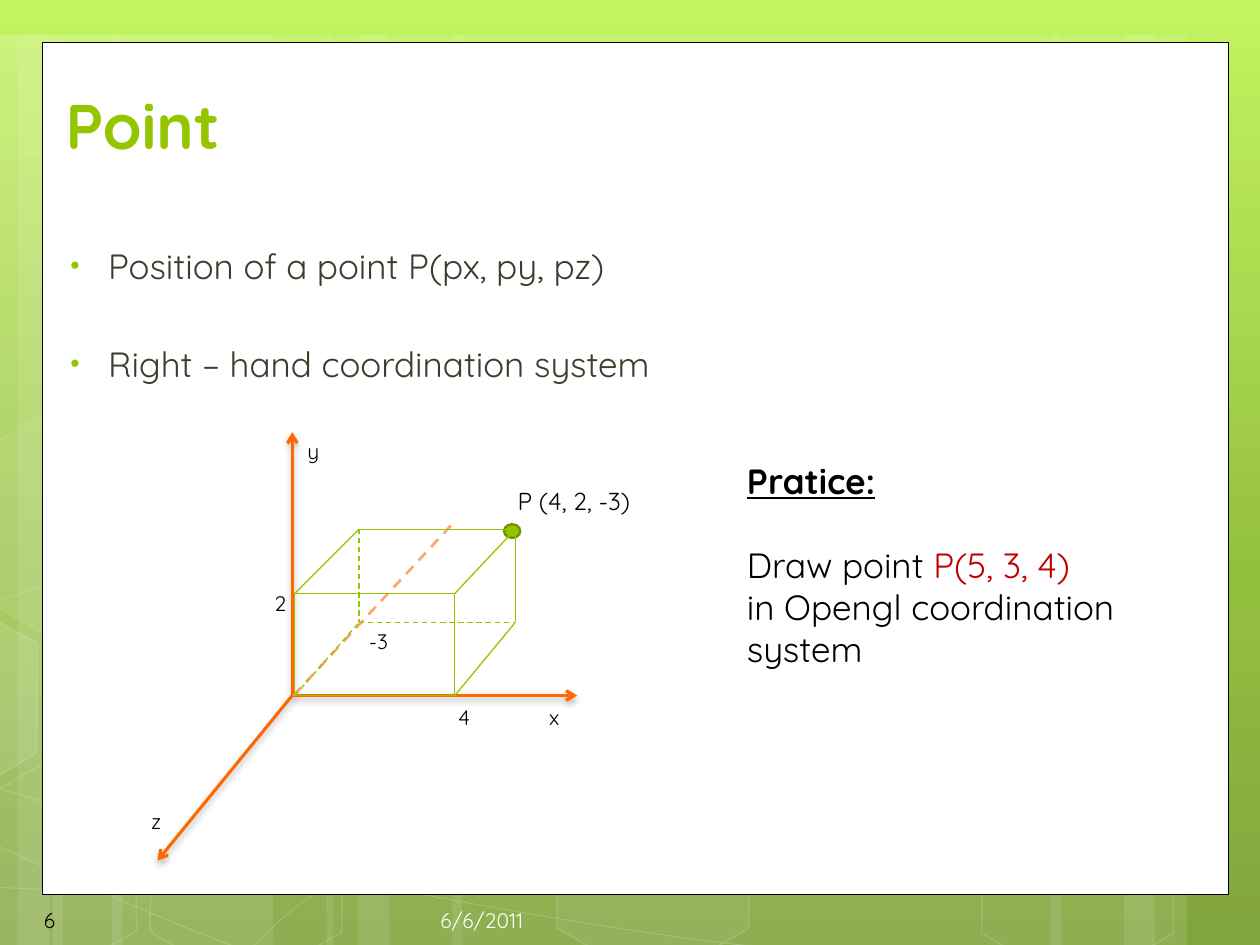
from lxml import etree
from pptx import Presentation
from pptx.dml.color import RGBColor
from pptx.enum.dml import MSO_LINE
from pptx.enum.shapes import MSO_CONNECTOR, MSO_SHAPE
from pptx.enum.text import MSO_ANCHOR, MSO_AUTO_SIZE, PP_ALIGN
from pptx.oxml.ns import qn
from pptx.util import Inches, Pt

RECTANGLE, HEXAGON, OVAL = MSO_SHAPE.RECTANGLE, MSO_SHAPE.HEXAGON, MSO_SHAPE.OVAL
STRAIGHT, DASH = MSO_CONNECTOR.STRAIGHT, MSO_LINE.DASH
LEFT, RIGHT = PP_ALIGN.LEFT, PP_ALIGN.RIGHT
TOP, MIDDLE, BOTTOM = MSO_ANCHOR.TOP, MSO_ANCHOR.MIDDLE, MSO_ANCHOR.BOTTOM
GROW = MSO_AUTO_SIZE.SHAPE_TO_FIT_TEXT

THEME = {
    "font": "Quicksand",
    "green": "94C600", "dark_green": "6D9200", "orange": "FF6700", "pale_orange": "FFA466",
    "text": "3E3D2D", "black": "000000", "white": "FFFFFF", "footer": "FEFEFE", "red": "C00000",
    "title": 36, "body": 20, "point": 14, "small": 12,
    "background": [(0, "C3F35F"), (62, "93BF3F"), (100, "81A53E")],
}

BARS = [(0.42, 1.75), (-0.33, 0.83), (0.89, 1.75), (-0.11, 0.5), (0.14, 0.83), (6.67, 1.75),
        (8.92, 0.5), (8.34, 0.83), (3.59, 3.08), (2.59, 0.5), (2.84, 0.83)]
WAVES = [
    [(-0.59, 7.01), (-0.05, 7.04), (0.49, 7.08), (1.24, 7.06), (1.99, 7.05), (2.92, 7.03),
     (3.92, 6.93), (4.92, 6.83), (6.34, 6.64), (7.26, 6.45), (8.17, 6.26), (9.11, 5.96), (9.41, 5.79)],
    [(-0.59, 5.05), (-0.3, 4.9), (-0.01, 4.74), (0.55, 4.6), (1.12, 4.45), (1.93, 4.23),
     (2.81, 4.15), (3.7, 4.08), (4.78, 4.08), (5.88, 4.15), (6.98, 4.23), (8.81, 4.54), (9.41, 4.62)],
    [(-0.6, 6.45), (0.61, 7), (1.81, 7.55), (2.68, 7.78)],
    [(-0.59, 6.06), (-0.28, 6.17), (0.04, 6.28), (0.62, 6.44), (1.2, 6.6), (2.07, 6.84),
     (2.9, 7.01), (3.74, 7.18), (4.79, 7.36), (5.62, 7.47), (6.45, 7.57), (7.34, 7.61),
     (7.87, 7.65), (8.39, 7.68), (8.53, 7.66), (8.79, 7.66), (9.05, 7.66), (9.23, 7.64), (9.41, 7.62)],
    [(1.76, 7.78), (1.94, 7.58), (2.12, 7.38), (2.36, 7.19), (2.6, 7.01), (2.94, 6.81),
     (3.22, 6.67), (3.5, 6.54), (3.67, 6.48), (4.03, 6.37), (4.4, 6.27), (5.07, 6.13),
     (5.42, 6.06), (5.78, 6), (5.83, 6), (6.14, 5.97), (6.45, 5.95), (6.94, 5.92),
     (7.28, 5.91), (7.63, 5.9), (8.2, 5.91), (8.2, 5.91), (8.42, 5.91), (8.65, 5.91),
     (8.87, 5.91), (9.05, 5.91), (9.22, 5.93), (9.31, 5.93), (9.4, 5.94), (9.37, 5.94), (9.4, 5.95)],
]
HEXAGONS = [(4.31, 6.17, 6, 12), (-0.55, 6.19, 0, 12), (-0.52, 3.4, 7, 8),
            (1.08, 6.2, 0, 12), (7.68, 6.21, 0, 12)]
EDGE_HEXAGON = [(0, 4.94), (0.3, 5.11), (0.29, 5.98), (0, 6.15)]

BULLETS = ["Position of a point P(px, py, pz)", "Right – hand coordination system"]
PRACTICE = [
    [("Pratice:", {"bold": True, "underline": True})],
    [("Draw point ", {}), ("P(5, 3, 4)", {"color": "red"})],
    [("in Opengl coordination system", {})],
]
FOOTERS = [("6", (0.25, 7.1, 1.46, 0.4), "black", LEFT),
           ("6/6/2011", (1.92, 7.1, 2.33, 0.4), "footer", RIGHT)]
AXIS_LABELS = [("x", 4.26, 5.54, 0.31), ("y", 2.34, 3.43, 0.31), ("z", 1.1, 6.37, 0.31),
               ("4", 3.54, 5.54, 0.31), ("-3", 2.83, 4.94, 0.42), ("2", 2.08, 4.64, 0.31)]
ORIGIN = (2.32, 5.52)
AXIS_ENDS = [(2.32, 3.43), (4.58, 5.52), (1.25, 6.83)]
FRONT = [(2.34, 5.52), (3.61, 5.52), (3.61, 4.71), (2.34, 4.71)]
BACK = [(2.85, 4.94), (4.09, 4.94), (4.09, 4.2), (2.85, 4.2)]


def color(name):
    return RGBColor.from_string(THEME[name])


def apply(target, values):
    for name, value in values.items():
        setattr(target, name, value)


def set_opacity(parent, percent):
    if percent < 100:
        node = parent.find(qn("a:solidFill")).find(qn("a:srgbClr"))
        etree.SubElement(node, qn("a:alpha"), val=str(percent * 1000))


def paint(shape, fill=None, fill_opacity=100, line=None, width=1, line_opacity=100):
    shape.shadow.inherit = False
    properties = shape.element.spPr
    if fill and fill_opacity:
        shape.fill.solid()
        shape.fill.fore_color.rgb = color(fill)
        set_opacity(properties, fill_opacity)
    else:
        shape.fill.background()
    if line:
        shape.line.color.rgb = color(line)
        shape.line.width = Pt(width)
        set_opacity(properties.find(qn("a:ln")), line_opacity)
    else:
        shape.line.fill.background()


def add_shape(slide, kind, box, **format_values):
    shape = slide.shapes.add_shape(kind, *map(Inches, box))
    paint(shape, **format_values)
    return shape


def add_outline(slide, points, **format_values):
    points = [(Inches(x), Inches(y)) for x, y in points]
    builder = slide.shapes.build_freeform(*points[0])
    builder.add_line_segments(points[1:], close=False)
    shape = builder.convert_to_shape()
    paint(shape, **format_values)
    return shape


def bend(shape):
    outline = next(shape.element.iter(qn("a:path")))
    segments = outline.findall(qn("a:lnTo"))
    for start in range(0, len(segments), 3):
        curve = etree.SubElement(outline, qn("a:cubicBezTo"))
        for segment in segments[start:start + 3]:
            curve.append(segment[0])
            outline.remove(segment)


def add_line(slide, start, end, name, width, dashed=False, axis=False):
    line = slide.shapes.add_connector(STRAIGHT, *map(Inches, start + end))
    line.line.color.rgb = color(name)
    line.line.width = Pt(width)
    if dashed:
        line.line.dash_style = DASH
    properties = line._element.spPr
    effects = etree.SubElement(properties, qn("a:effectLst"))
    if axis:
        etree.SubElement(properties.find(qn("a:ln")), qn("a:tailEnd"), type="arrow")
        shadow = etree.SubElement(effects, qn("a:outerShdw"), blurRad=str(Pt(4)), dist=str(Pt(2)),
                                  dir="5400000", rotWithShape="0")
        shade = etree.SubElement(shadow, qn("a:srgbClr"), val=THEME["black"])
        etree.SubElement(shade, qn("a:alpha"), val="28000")


def add_run(paragraph, text, size, color_name, **font_values):
    run = paragraph.add_run()
    run.text = text
    apply(run.font, {"name": THEME["font"], "size": Pt(THEME[size]), **font_values})
    run.font.color.rgb = color(color_name)


def add_text_box(slide, box, **frame_values):
    frame = slide.shapes.add_textbox(*map(Inches, box)).text_frame
    apply(frame, {"word_wrap": True, **frame_values})
    return frame


def add_label(slide, text, box, size="small", color_name="black", align=LEFT, **frame_values):
    paragraph = add_text_box(slide, box, **frame_values).paragraphs[0]
    paragraph.alignment = align
    add_run(paragraph, text, size, color_name)


def add_paragraph(frame, index, gap):
    if index == 0:
        return frame.paragraphs[0]
    paragraph = frame.add_paragraph()
    paragraph.space_before = Pt(gap)
    return paragraph


def add_bullet(paragraph):
    properties = paragraph._p.get_or_add_pPr()
    properties.set("marL", str(Inches(0.38)))
    properties.set("indent", str(Inches(-0.3)))
    bullet_color = etree.SubElement(properties, qn("a:buClr"))
    etree.SubElement(bullet_color, qn("a:srgbClr"), val=THEME["green"])
    etree.SubElement(properties, qn("a:buSzPct"), val="76000")
    etree.SubElement(properties, qn("a:buFont"), typeface="Arial")
    etree.SubElement(properties, qn("a:buChar"), char="•")


def add_backdrop(slide):
    fill = slide.background.fill
    fill.gradient()
    fill.gradient_angle = 270
    stops = next(slide.element.iter(qn("a:gsLst")))
    for stop in list(stops):
        stops.remove(stop)
    for position, value in THEME["background"]:
        stop = etree.SubElement(stops, qn("a:gs"), pos=str(position * 1000))
        etree.SubElement(stop, qn("a:srgbClr"), val=value)
    for left, width in BARS:
        add_shape(slide, RECTANGLE, (left, 0.28, width, 7.5), fill="white", fill_opacity=10)
    for nodes in WAVES:
        bend(add_outline(slide, nodes, line="white", width=0.5, line_opacity=20))
    for left, top, fill_opacity, line_opacity in HEXAGONS:
        hexagon = add_shape(slide, HEXAGON, (left, top, 1.75, 1.52), fill="white",
                            fill_opacity=fill_opacity, line="white", line_opacity=line_opacity)
        hexagon.rotation = 30
        hexagon.adjustments[0] = 0.285
    add_outline(slide, EDGE_HEXAGON, fill="white", fill_opacity=10, line="white", line_opacity=12)
    add_shape(slide, RECTANGLE, (0.34, 0.34, 9.41, 6.76), fill="white", line="black", width=0.5)


def add_texts(slide):
    title = slide.shapes.title
    apply(title, dict(zip(("left", "top", "width", "height"), map(Inches, (0.42, 0.34, 9.25, 1)))))
    apply(title.text_frame, {"vertical_anchor": BOTTOM, "word_wrap": True})
    paragraph = title.text_frame.paragraphs[0]
    apply(paragraph, {"alignment": LEFT, "line_spacing": 1.5})
    add_run(paragraph, "Point", "title", "green", bold=True)
    slide.shapes._spTree.append(title._element)

    frame = add_text_box(slide, (0.38, 1.89, 9.31, 5.19), vertical_anchor=TOP)
    for index, text in enumerate(BULLETS):
        paragraph = add_paragraph(frame, index, 32)
        add_bullet(paragraph)
        add_run(paragraph, text, "body", "text")

    frame = add_text_box(slide, (5.83, 3.6, 3.33, 1.78), auto_size=GROW)
    for index, runs in enumerate(PRACTICE):
        paragraph = add_paragraph(frame, index, 24 if index == 1 else 0)
        for text, values in runs:
            fonts = {name: value for name, value in values.items() if name != "color"}
            add_run(paragraph, text, "body", values.get("color", "black"), **fonts)

    for text, box, color_name, align in FOOTERS:
        add_label(slide, text, box, color_name=color_name, align=align, vertical_anchor=MIDDLE)


def add_diagram(slide):
    add_label(slide, "P (4, 2, -3)", (4.01, 3.81, 1.39, 0.34), size="point", auto_size=GROW)
    add_shape(slide, OVAL, (4, 4.16, 0.13, 0.11), fill="green", line="dark_green", width=1.25)
    for end in AXIS_ENDS:
        add_line(slide, ORIGIN, end, "orange", 1.75, axis=True)
    add_line(slide, (2.33, 5.52), (3.58, 4.17), "pale_orange", 1.5, dashed=True)
    for text, left, top, width in AXIS_LABELS:
        add_label(slide, text, (left, top, width, 0.3), auto_size=GROW)
    for index in range(4):
        following = (index + 1) % 4
        add_line(slide, FRONT[index], FRONT[following], "green", 0.75)
        add_line(slide, BACK[index], BACK[following], "green", 0.75, dashed=0 in (index, following))
        add_line(slide, FRONT[index], BACK[index], "green", 0.75, dashed=index == 0)


def main():
    presentation = Presentation()
    apply(presentation, {"slide_width": Inches(10), "slide_height": Inches(7.5)})
    slide = presentation.slides.add_slide(presentation.slide_layouts[5])
    add_backdrop(slide)
    add_texts(slide)
    add_diagram(slide)
    presentation.save("out.pptx")


if __name__ == "__main__":
    main()
